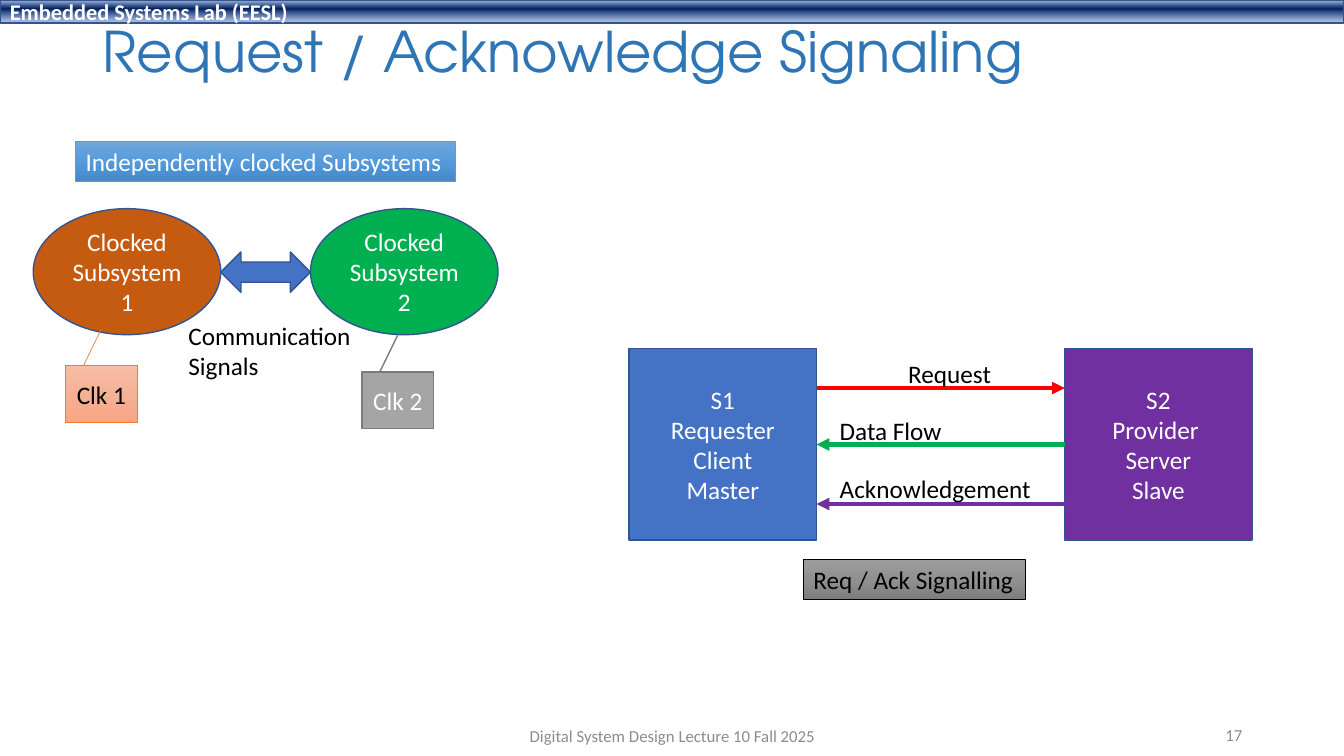
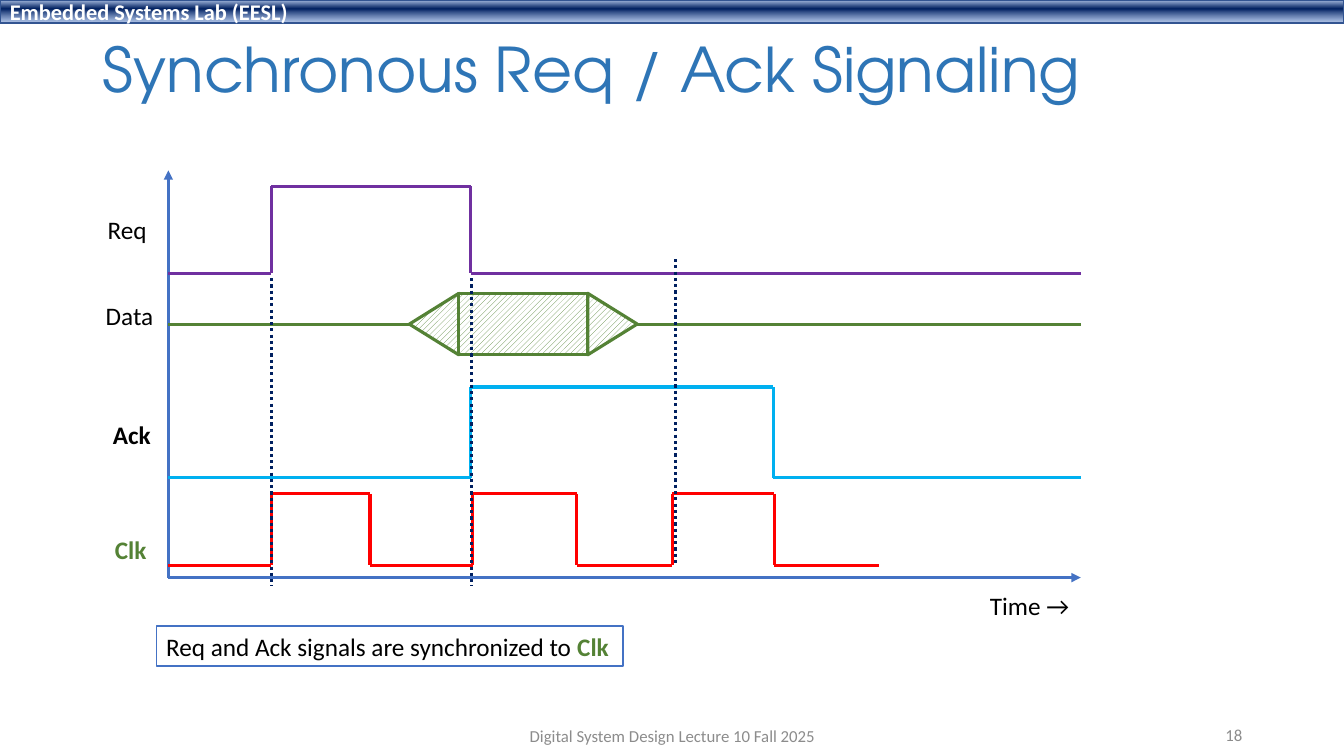
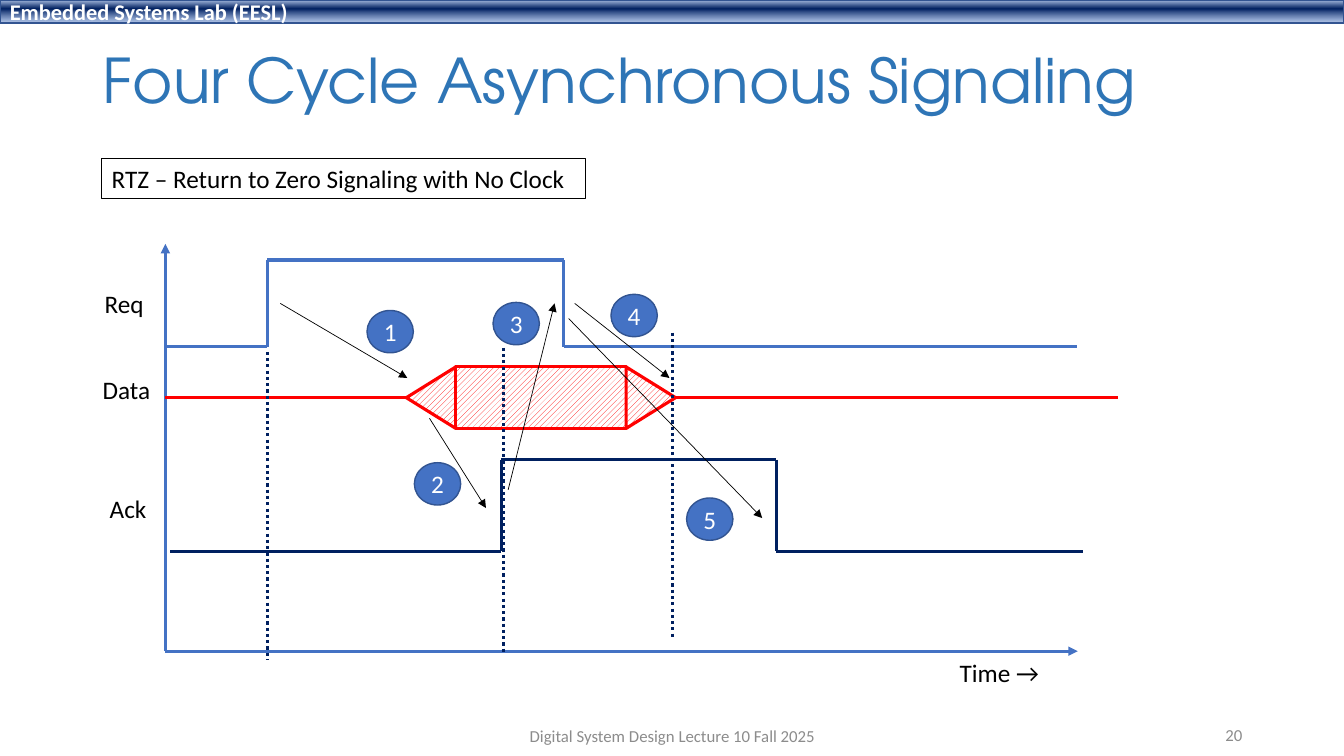
import itertools

import lxml.etree
import pptx
import pptx.dml.color
import pptx.enum.dml
import pptx.enum.shapes
import pptx.enum.text
import pptx.oxml.ns
import pptx.util

Inches, Pt = pptx.util.Inches, pptx.util.Pt
RGB = pptx.dml.color.RGBColor
SHAPE = pptx.enum.shapes.MSO_SHAPE
ALIGN = pptx.enum.text.PP_ALIGN
ANCHOR = pptx.enum.text.MSO_ANCHOR
AUTO_SIZE = pptx.enum.text.MSO_AUTO_SIZE
qn = pptx.oxml.ns.qn

# Shared style
BODY_FONT, TITLE_FONT = "Calibri", "TeX Gyre Adventor"
WHITE, BLACK = RGB(0xFF, 0xFF, 0xFF), RGB(0, 0, 0)
TITLE_BLUE, BLUE, EDGE_BLUE = RGB(0x2E, 0x75, 0xB6), RGB(0x44, 0x72, 0xC4), RGB(0x32, 0x54, 0x91)
NAVY, SKY, BOX_BLUE = RGB(0, 0x20, 0x60), RGB(0, 0xB0, 0xF0), RGB(0x5B, 0x9B, 0xD5)
RED, PURPLE = RGB(0xFF, 0, 0), RGB(0x70, 0x30, 0xA0)
GREEN, OLIVE = RGB(0, 0xB0, 0x50), RGB(0x54, 0x82, 0x35)
RUST, ORANGE = RGB(0xC5, 0x5A, 0x11), RGB(0xED, 0x7D, 0x31)
GREY, DARK_GREY, FOOTER_GREY = RGB(0xA5, 0xA5, 0xA5), RGB(0x7A, 0x7A, 0x7A), RGB(0x8C, 0x8C, 0x8C)

# Gradient stops: position %, colour, opacity %
BAND_GRADIENT = [(2, RGB(0xAB, 0xC0, 0xE4), 100), (38, NAVY, 100), (93, RGB(0x7E, 0x9E, 0xD6), 64)]
BLUE_GRADIENT = [(0, RGB(0x71, 0xA6, 0xDB), 100), (50, RGB(0x55, 0x9B, 0xDB), 100),
                 (100, RGB(0x44, 0x8A, 0xCA), 100)]
GREY_GRADIENT = [(0, RGB(0x9D, 0x9D, 0x9D), 100), (50, RGB(0x90, 0x90, 0x90), 100),
                 (100, RGB(0x7C, 0x7C, 0x7C), 100)]
PEACH_GRADIENT = [(0, RGB(0xF7, 0xBD, 0xA5), 100), (50, RGB(0xF5, 0xB1, 0x96), 100),
                  (100, RGB(0xF8, 0xA5, 0x82), 100)]

LAB = "Embedded Systems Lab (EESL)"
COURSE = "Digital System Design Lecture 10 Fall 2025"

# Content: title, size, top, height, slide number
REQUEST_HEAD = ("Request / Acknowledge Signaling", 40, 0.15, 0.77, "17")
SYNC_HEAD = ("Synchronous Req / Ack Signaling", 44, 0.15, 1.13, "18")
FOUR_CYCLE_HEAD = ("Four Cycle Asynchronous Signaling", 44, 0.4, 0.85, "20")

# Kind, place, lines, fill, line colour, line width, text colour
SUBSYSTEMS = [
    (SHAPE.OVAL, (0.33, 2.07, 1.86, 1.25), ["Clocked", "Subsystem 1"], RUST, EDGE_BLUE, 1, WHITE),
    (SHAPE.OVAL, (3.08, 2.07, 1.86, 1.25), ["Clocked", "Subsystem 2"], GREEN, EDGE_BLUE, 1, WHITE),
    (SHAPE.RECTANGLE, (6.24, 3.46, 1.86, 1.9), ["S1", "Requester Client", "Master"],
     BLUE, EDGE_BLUE, 1, WHITE),
    (SHAPE.RECTANGLE, (10.56, 3.46, 1.86, 1.9), ["S2", "Provider ", "Server", "Slave"],
     PURPLE, EDGE_BLUE, 1, WHITE),
    (SHAPE.LEFT_RIGHT_ARROW, (2.19, 2.5, 0.89, 0.4), [], BLUE, EDGE_BLUE, 1, WHITE),
]
CLOCKS = [
    (SHAPE.LINE_CALLOUT_1, (0.65, 3.63, 0.71, 0.56), ["Clk 1"], PEACH_GRADIENT, ORANGE, 0.5, BLACK),
    (SHAPE.LINE_CALLOUT_1, (3.59, 3.69, 0.71, 0.56), ["Clk 2"], GREY, DARK_GREY, 1, WHITE),
]
CLOCK_POINTER = (-0.012, 0.254, -0.65, 0.499)
# Label, label place, arrow start and end, colour
MESSAGES = [
    ("Request", (8.91, 3.51, 1.03, 0.4), (8.1, 3.85), (10.56, 3.85), RED),
    ("Data Flow", (8.23, 4.07, 1.22, 0.4), (10.56, 4.41), (8.1, 4.41), GREEN),
    ("Acknowledgement", (8.23, 4.65, 2.12, 0.4), (10.56, 5), (8.1, 5), PURPLE),
]

# Waves: edges along time, low level, high level, colour
# Data: start, steady left, steady right, end, top, colour
SYNC_TIMING = dict(
    origin=(1.67, 5.73),
    waves=[([1.67, 2.69, 3.67, 4.69, 5.72, 6.67, 7.68, 8.72], 5.61, 4.9, RED),
           ([1.67, 4.67, 7.67, 10.72], 4.74, 3.84, SKY),
           ([1.67, 2.69, 4.67, 10.72], 2.71, 1.85, PURPLE)],
    data=(1.67, 4.55, 5.83, 10.72, 2.91, OLIVE),
    markers=[(2.69, 2.76, 5.81), (4.68, 2.76, 5.81), (6.7, 2.57, 5.61)],
    labels=[("Req", -0.7, -3.65, 0.59, BLACK, False), ("Data", -0.72, -2.8, 0.68, BLACK, False),
            ("Ack", -0.65, -1.62, 0.58, BLACK, True), ("Clk", -0.63, -0.48, 0.52, OLIVE, True),
            ("Time →", 8.05, 0.08, 1, BLACK, False)])
FOUR_CYCLE_TIMING = dict(
    origin=(1.64, 6.46),
    waves=[([1.69, 4.97, 7.7, 10.74], 5.47, 4.56, NAVY),
           ([1.64, 2.65, 5.59, 10.68], 3.44, 2.58, BLUE)],
    data=(1.64, 4.52, 6.21, 11.09, 3.64, RED),
    markers=[(2.65, 3.49, 6.54), (4.99, 3.45, 6.49), (6.67, 3.3, 6.34)],
    labels=[("Req", -0.7, -3.65, 0.59, BLACK, False), ("Data", -0.72, -2.8, 0.68, BLACK, False),
            ("Ack", -0.65, -1.62, 0.57, BLACK, False), ("Time →", 7.78, 0.01, 1, BLACK, False)])
# Arrow start and end, left and top of the numbered circle
CYCLE_STEPS = [
    ((2.78, 3.01), (4.04, 3.75), (3.64, 3.08)),
    ((4.26, 4.15), (4.82, 5.04), (4.11, 4.59)),
    ((5.04, 4.86), (5.5, 3.01), (4.89, 3)),
    ((5.7, 3.01), (6.64, 3.75), (6.06, 2.92)),
    ((5.64, 3.16), (7.56, 5.14), (6.81, 4.94)),
]


def inches(values):
    return [Inches(value) for value in values]


def write(frame, lines, color, size=18, align=ALIGN.LEFT, anchor=ANCHOR.TOP, bold=False, font=BODY_FONT):
    """Each line is a string or a list of (text, colour, bold) runs."""
    frame.vertical_anchor = anchor
    for index, line in enumerate(lines):
        paragraph = frame.add_paragraph() if index else frame.paragraphs[0]
        paragraph.alignment = align
        for text, run_color, run_bold in [(line, color, bold)] if isinstance(line, str) else line:
            run = paragraph.add_run()
            run.text = text
            run.font.name, run.font.size, run.font.bold = font, Pt(size), run_bold
            run.font.color.rgb = run_color


def fit_to_text(frame):
    frame.word_wrap = False
    frame.auto_size = AUTO_SIZE.SHAPE_TO_FIT_TEXT


def add_label(slide, place, lines, color=BLACK, bold=False):
    frame = slide.shapes.add_textbox(*inches(place)).text_frame
    write(frame, lines, color, bold=bold)
    fit_to_text(frame)


def paint_gradient(shape, stops):
    shape.fill.gradient()
    shape.fill.gradient_angle = 270
    stop_list = shape.element.spPr.find(".//" + qn("a:gsLst"))
    for old_stop in list(stop_list):
        stop_list.remove(old_stop)
    for position, color, opacity in stops:
        stop = lxml.etree.SubElement(stop_list, qn("a:gs"), pos=str(position * 1000))
        tint = lxml.etree.SubElement(stop, qn("a:srgbClr"), val=str(color))
        if opacity < 100:
            lxml.etree.SubElement(tint, qn("a:alpha"), val=str(opacity * 1000))


def add_block(slide, kind, place, lines, fill, edge, width, color, **text_style):
    block = slide.shapes.add_shape(kind, *inches(place))
    block.shadow.inherit = False
    if isinstance(fill, list):
        paint_gradient(block, fill)
    else:
        block.fill.solid()
        block.fill.fore_color.rgb = fill
    block.line.color.rgb, block.line.width = edge, Pt(width)
    write(block.text_frame, lines, color,
          **{"align": ALIGN.CENTER, "anchor": ANCHOR.MIDDLE, **text_style})
    return block


def add_caption(slide, place, lines, fill, edge, width, color=BLACK):
    caption = add_block(slide, SHAPE.RECTANGLE, place, lines, fill, edge, width, color,
                        align=ALIGN.LEFT, anchor=ANCHOR.TOP)
    fit_to_text(caption.text_frame)


def add_line(slide, start, end, color, width=2.25, arrow=False, dotted=False):
    line = slide.shapes.add_connector(pptx.enum.shapes.MSO_CONNECTOR.STRAIGHT, *inches(start + end))
    line.line.color.rgb, line.line.width = color, Pt(width)
    if dotted:
        line.line.dash_style = pptx.enum.dml.MSO_LINE.ROUND_DOT
    properties = line.element.spPr
    if arrow:
        lxml.etree.SubElement(properties.find(qn("a:ln")), qn("a:tailEnd"), type="triangle")
    lxml.etree.SubElement(properties, qn("a:effectLst"))


def add_wave(slide, edges, low, high, color):
    """Square wave that starts low and toggles at every inner edge."""
    levels = itertools.cycle([low, high])
    points = [(x, y) for (left, right), y in zip(itertools.pairwise(edges), levels)
              for x in (left, right)for y in (y,)]
    for start, end in itertools.pairwise(points):
        add_line(slide, start, end, color)


def add_data(slide, start, left, right, end, top, color):
    """Idle line, then a hatched valid window with pointed ends."""
    height, point = 0.61, 0.49
    middle = top + height / 2
    add_line(slide, (start, middle), (left - point, middle), color)
    # A triangle is turned about its centre, so its unturned box is height wide
    parts = [(SHAPE.ISOSCELES_TRIANGLE, left - point / 2, height, point, 270),
             (SHAPE.RECTANGLE, (left + right) / 2, right - left, height, 0),
             (SHAPE.ISOSCELES_TRIANGLE, right + point / 2, height, point, 90)]
    for kind, center, wide, tall, turn in parts:
        part = slide.shapes.add_shape(kind, *inches((center - wide / 2, middle - tall / 2, wide, tall)))
        part.shadow.inherit = False
        part.rotation = turn
        part.fill.patterned()
        part.fill.pattern = pptx.enum.dml.MSO_PATTERN.WIDE_UPWARD_DIAGONAL
        part.fill.fore_color.rgb, part.fill.back_color.rgb = color, WHITE
        part.line.color.rgb, part.line.width = color, Pt(2.25)
    add_line(slide, (right + point, middle), (end, middle), color)


def add_timing(slide, origin, waves, data, markers, labels):
    x, y = origin
    for axis_end in [(x, y - 4.04), (x + 9.05, y)]:
        add_line(slide, origin, axis_end, BLUE, arrow=True)
    for wave in waves:
        add_wave(slide, *wave)
    add_data(slide, *data)
    for time, top, bottom in markers:
        add_line(slide, (time, top), (time, bottom), NAVY, dotted=True)
    for text, across, down, width, color, bold in labels:
        add_label(slide, (x + across, y + down, width, 0.4), [text], color, bold)


def add_slide(deck, title, size, top, height, number):
    slide = deck.slides.add_slide(deck.slide_layouts[5])
    heading = slide.shapes.title
    heading.left, heading.top, heading.width, heading.height = inches((0.92, top, 11.5, height))
    write(heading.text_frame, [title], TITLE_BLUE, size, anchor=ANCHOR.MIDDLE, font=TITLE_FONT)
    heading.text_frame.auto_size = AUTO_SIZE.NONE
    heading.text_frame.paragraphs[0].line_spacing = 0.9
    for place, text, align in [((4.42, 7.1, 4.5, 0.4), COURSE, ALIGN.CENTER),
                               ((9.42, 7.09, 3, 0.4), number, ALIGN.RIGHT)]:
        frame = slide.shapes.add_textbox(*inches(place)).text_frame
        frame.word_wrap = True
        write(frame, [text], FOOTER_GREY, 12, align, ANCHOR.MIDDLE)
    return slide


def main():
    deck = pptx.Presentation()
    deck.slide_width, deck.slide_height = inches((13.33, 7.5))

    # Request / acknowledge overview
    overview = add_slide(deck, *REQUEST_HEAD)
    # The lab band belongs to the layout, so every slide inherits it
    band = add_block(overview, SHAPE.RECTANGLE, (0, 0, 13.33, 0.23), [LAB], BAND_GRADIENT,
                     EDGE_BLUE, 1, WHITE, size=16, align=ALIGN.LEFT, bold=True)
    overview.slide_layout.shapes.element.append(band.element)

    for subsystem in SUBSYSTEMS:
        add_block(overview, *subsystem)
    add_label(overview, (1.77, 3.13, 1.83, 0.71), ["Communication", "Signals"])
    add_caption(overview, (0.75, 1.4, 3.77, 0.4), ["Independently clocked Subsystems"],
                BLUE_GRADIENT, BOX_BLUE, 0.5, WHITE)
    for text, place, start, end, color in MESSAGES:
        add_line(overview, start, end, color, 3, arrow=True)
        add_label(overview, place, [text])
    add_caption(overview, (7.97, 5.55, 2.2, 0.4), ["Req / Ack Signalling"], GREY_GRADIENT, BLACK, 0.5)
    for clock in CLOCKS:
        callout = add_block(overview, *clock)
        for index, value in enumerate(CLOCK_POINTER):
            callout.adjustments[index] = value

    # Synchronous timing
    synchronous = add_slide(deck, *SYNC_HEAD)
    add_timing(synchronous, **SYNC_TIMING)
    add_caption(synchronous, (1.55, 6.21, 4.63, 0.4),
                [[("Req and Ack signals are synchronized to ", BLACK, False), ("Clk", OLIVE, True)]],
                WHITE, BLUE, 1)

    # Four cycle timing
    four_cycle = add_slide(deck, *FOUR_CYCLE_HEAD)
    add_timing(four_cycle, **FOUR_CYCLE_TIMING)
    add_caption(four_cycle, (1.01, 1.57, 4.8, 0.4), ["RTZ – Return to Zero Signaling with No Clock"],
                WHITE, BLACK, 1)
    for number, (start, end, corner) in enumerate(CYCLE_STEPS, 1):
        add_line(four_cycle, start, end, BLACK, 0.5, arrow=True)
        add_block(four_cycle, SHAPE.OVAL, corner + (0.46, 0.42), [str(number)], BLUE, EDGE_BLUE, 1, WHITE)

    deck.save("out.pptx")


if __name__ == "__main__":
    main()
